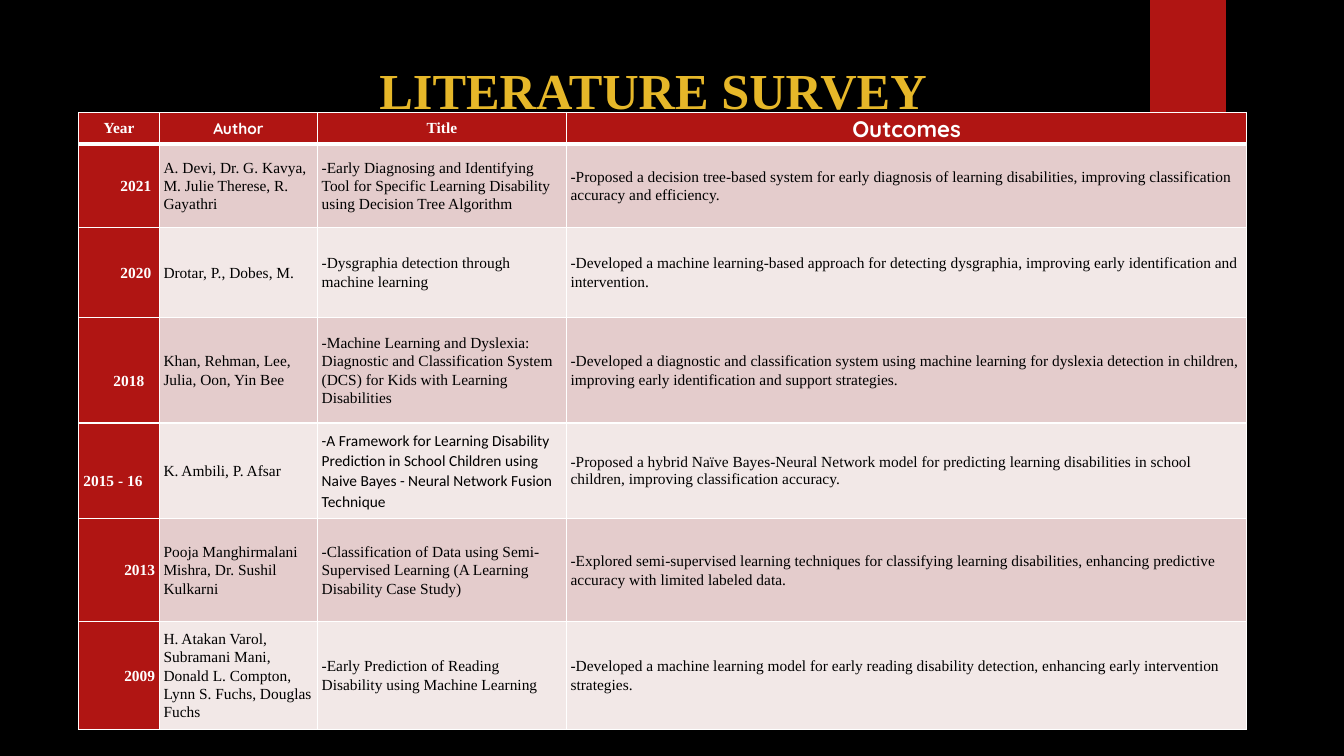
from lxml import etree
from pptx import Presentation
from pptx import util as u
from pptx.dml.color import RGBColor
from pptx.enum import shapes, text
from pptx.oxml import ns

Pt = u.Pt
COLORS = {
    "background": "000000",
    "accent": "B01513",
    "title": "E6B729",
    "light": "FFFFFF",
    "dark": "000000",
    "odd_row": "E4CCCC",
    "even_row": "F2E8E7",
}
SERIF, ROUND, SANS = "Times New Roman", "Quicksand", "Calibri"
LEFT, CENTER, RIGHT = text.PP_ALIGN.LEFT, text.PP_ALIGN.CENTER, text.PP_ALIGN.RIGHT

COLUMN_WIDTHS = [57.6, 113, 177.8, 486]
ROW_HEIGHTS = [22.3, 59.8, 64.1, 75.6, 68.4, 73.4, 77]

# Heading, font, size
HEADINGS = [
    ("Year", SERIF, 11),
    ("Author", ROUND, 11),
    ("Title", SERIF, 11),
    ("Outcomes", ROUND, 16),
]

# Year, author, title, outcome
STUDIES = [
    ("2021", "A. Devi, Dr. G. Kavya, M. Julie Therese, R. Gayathri",
     "-Early Diagnosing and Identifying Tool for Specific Learning Disability "
     "using Decision Tree Algorithm",
     "-Proposed a decision tree-based system for early diagnosis of learning "
     "disabilities, improving classification accuracy and efficiency."),
    ("2020", "Drotar, P., Dobes, M.",
     "-Dysgraphia detection through machine learning",
     "-Developed a machine learning-based approach for detecting dysgraphia, "
     "improving early identification and intervention."),
    ("2018", "Khan, Rehman, Lee, Julia, Oon, Yin Bee",
     "-Machine Learning and Dyslexia: Diagnostic and Classification System (DCS) "
     "for Kids with Learning Disabilities",
     "-Developed a diagnostic and classification system using machine learning for "
     "dyslexia detection in children, improving early identification and support "
     "strategies."),
    ("2015 - 16", "K. Ambili, P. Afsar",
     "-A Framework for Learning Disability Prediction in School Children using "
     "Naive Bayes - Neural Network Fusion Technique",
     "-Proposed a hybrid Naïve Bayes-Neural Network model for predicting learning "
     "disabilities in school children, improving classification accuracy."),
    ("2013", "Pooja Manghirmalani Mishra, Dr. Sushil Kulkarni",
     "-Classification of Data using Semi-Supervised Learning (A Learning "
     "Disability Case Study)",
     "-Explored semi-supervised learning techniques for classifying learning "
     "disabilities, enhancing predictive accuracy with limited labeled data."),
    ("2009",
     "H. Atakan Varol, Subramani Mani, Donald L. Compton, Lynn S. Fuchs, "
     "Douglas Fuchs",
     "-Early Prediction of Reading Disability using Machine Learning",
     "-Developed a machine learning model for early reading disability detection, "
     "enhancing early intervention strategies."),
]

# Top and right margins of the year cells
YEAR_MARGINS = [(0, 5.7), (0, 5.7), (15.5, 10.7), (14, 12), (0, 3), (0, 3)]


def rgb(name):
    return RGBColor.from_string(COLORS[name])


def format_text(paragraph, font, size, color, bold, align, spacing):
    paragraph.alignment = align
    paragraph.line_spacing = spacing
    for run in paragraph.runs:
        run.font.name = font
        run.font.size = Pt(size)
        run.font.bold = bold
        run.font.color.rgb = rgb(color)


def add_ribbon(slide):
    ribbon = slide.shapes.add_shape(
        shapes.MSO_SHAPE.RECTANGLE, Pt(821.6), Pt(0), Pt(54), Pt(90))
    ribbon.shadow.inherit = False
    ribbon.fill.solid()
    ribbon.fill.fore_color.rgb = rgb("accent")
    ribbon.line.fill.background()


def add_title(slide, wording):
    title = slide.shapes.add_textbox(Pt(189.4), Pt(8.6), Pt(482.4), Pt(71.3))
    frame = title.text_frame
    frame.word_wrap = True
    frame.margin_left, frame.margin_right = Pt(72), Pt(0)
    frame.text = wording
    format_text(frame.paragraphs[0], SERIF, 36, "title", True, CENTER, 1.7)


def set_borders(cell, bottom):
    properties = cell._tc.get_or_add_tcPr()
    for side, width in (("L", 1), ("R", 1), ("T", 1), ("B", bottom)):
        line = etree.SubElement(properties, ns.qn(f"a:ln{side}"), w=str(Pt(width)))
        fill = etree.SubElement(line, ns.qn("a:solidFill"))
        etree.SubElement(fill, ns.qn("a:srgbClr"), val=COLORS["light"])


def fill_cell(cell, wording, fill, font=SERIF, size=11, color="dark", bold=False,
              align=LEFT, spacing=1.07, top=0, right=3, bottom_border=1):
    set_borders(cell, bottom_border)
    cell.fill.solid()
    cell.fill.fore_color.rgb = rgb(fill)
    cell.vertical_anchor = text.MSO_ANCHOR.MIDDLE
    cell.margin_left, cell.margin_right = Pt(3), Pt(right)
    cell.margin_top, cell.margin_bottom = Pt(top), Pt(0)
    cell.text_frame.text = wording
    paragraph = cell.text_frame.paragraphs[0]
    paragraph.space_after = Pt(8)
    format_text(paragraph, font, size, color, bold, align, spacing)


def add_survey(slide):
    survey = slide.shapes.add_table(
        len(ROW_HEIGHTS), len(COLUMN_WIDTHS), Pt(56.2), Pt(80.4),
        Pt(sum(COLUMN_WIDTHS)), Pt(sum(ROW_HEIGHTS))).table
    survey.horz_banding = False
    for column, width in zip(survey.columns, COLUMN_WIDTHS):
        column.width = Pt(width)
    for row, height in zip(survey.rows, ROW_HEIGHTS):
        row.height = Pt(height)

    # Heading row
    for index, (heading, font, size) in enumerate(HEADINGS):
        fill_cell(survey.cell(0, index), heading, "accent", font, size, "light",
                  True, CENTER, bottom_border=3)

    # One row per study
    for row, (study, margins) in enumerate(zip(STUDIES, YEAR_MARGINS), start=1):
        year, author, title, outcome = study
        top, right = margins
        band = "odd_row" if row % 2 else "even_row"
        hybrid = year == "2015 - 16"
        fill_cell(survey.cell(row, 0), year, "accent", color="light", bold=True,
                  align=RIGHT, top=top, right=right)
        fill_cell(survey.cell(row, 1), author, band)
        fill_cell(survey.cell(row, 2), title, band, font=SANS if hybrid else SERIF)
        fill_cell(survey.cell(row, 3), outcome, band, spacing=1.0 if hybrid else 1.07)


def main():
    deck = Presentation()
    deck.slide_width, deck.slide_height = Pt(960), Pt(540)
    slide = deck.slides.add_slide(deck.slide_layouts[6])
    slide.background.fill.solid()
    slide.background.fill.fore_color.rgb = rgb("background")
    add_ribbon(slide)
    add_title(slide, "LITERATURE SURVEY")
    add_survey(slide)
    deck.save("out.pptx")


if __name__ == "__main__":
    main()
